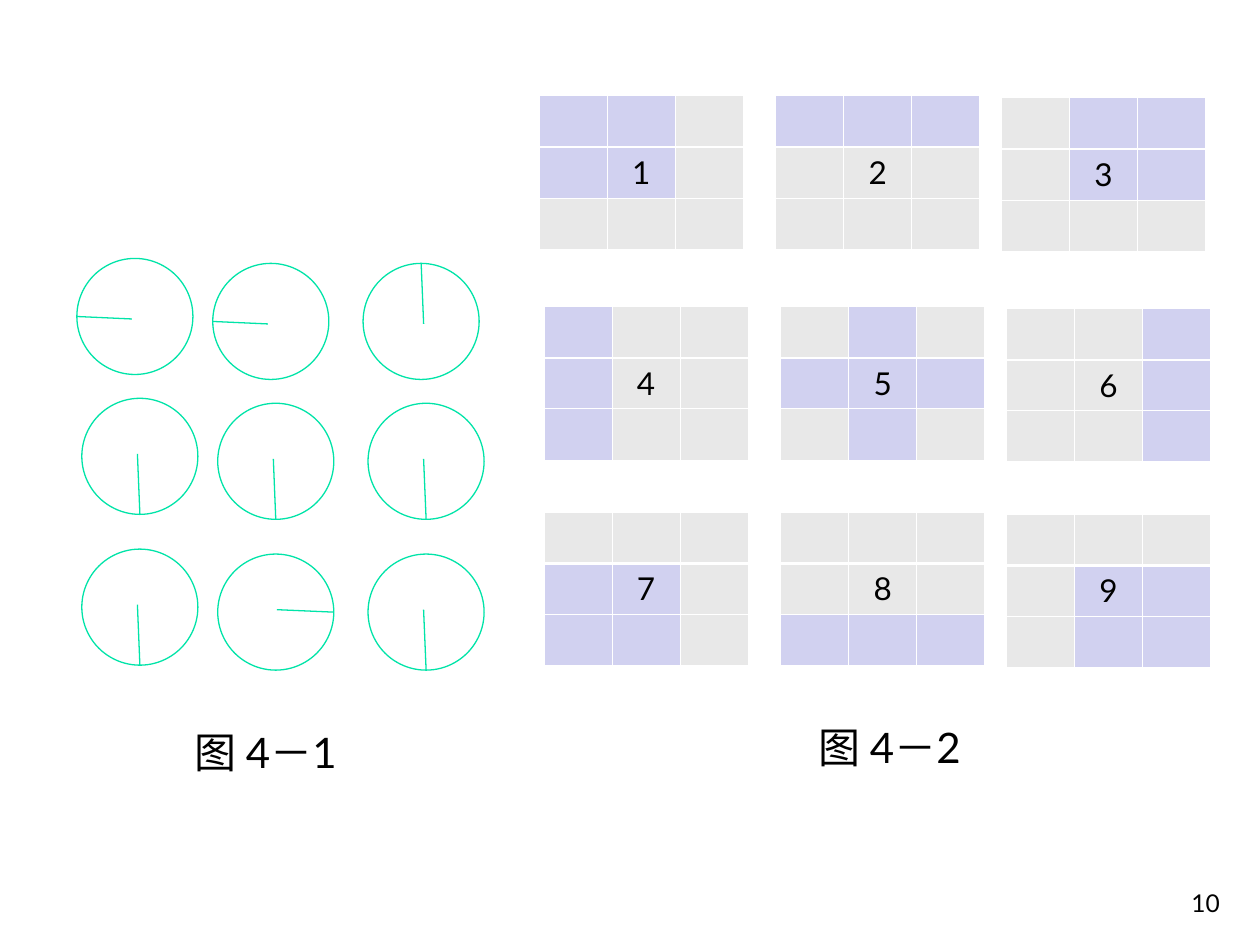
from pptx import Presentation
from pptx.dml.color import RGBColor
from pptx.enum.shapes import MSO_CONNECTOR as Connector, MSO_SHAPE as Shape
from pptx.enum.text import MSO_ANCHOR as Anchor, PP_ALIGN as Align
from pptx.oxml.ns import qn
from pptx.util import Cm, Pt
from lxml.etree import SubElement

FONT = "Lato"
TEAL, LILAC, GREY, WHITE, BLACK = "00E4A8", "D1D1F0", "E8E8E8", "FFFFFF", "000000"

DIAMETER = 2.34
DIAL_LEFTS = (1.55, 4.29, 7.32)
DIAL_TOPS = (5.21, 8.03, 11.07)
HANDS = {
    "left": (0, 1.17, 1.11, 1.22),
    "up": (1.17, 0, 1.22, 1.22),
    "down": (1.12, 1.12, 1.17, DIAMETER),
    "right": (1.19, 1.12, DIAMETER, 1.17),
}
DIAL_DIRECTIONS = (
    ("left", "left", "up"),
    ("down", "down", "down"),
    ("down", "right", "down"),
)

CELL_WIDTH, CELL_HEIGHT = 1.37, 1.03
GRID_LEFTS = (10.87, 15.64, 20.19)
GRID_TOPS = (1.93, 6.18, 10.33)
NEIGHBOURHOODS = (
    ("110 110 000", "111 000 000", "011 011 000"),
    ("100 100 100", "010 111 010", "001 001 001"),
    ("000 110 110", "000 000 111", "000 011 011"),
)
THIN, THICK = 0.45, 1.47
SHIFT = 0.1


def color(value):
    return RGBColor.from_string(value)


def write(frame, text, size, align):
    para = frame.paragraphs[0]
    para.alignment = align
    span = para.add_run()
    span.text = text
    span.font.name = FONT
    span.font.size = Pt(size)
    span.font.color.rgb = color(BLACK)


def add_label(page, text, left, top, width, size, align, anchor=Anchor.TOP):
    box = page.shapes.add_textbox(Cm(left), Cm(top), Cm(width), Cm(1.27))
    box.text_frame.word_wrap = True
    box.text_frame.vertical_anchor = anchor
    write(box.text_frame, text, size, align)


def style_line(line):
    line.color.rgb = color(TEAL)
    line.width = Pt(0.75)


def add_dial(group, left, top, direction):
    circle = group.shapes.add_shape(
        Shape.OVAL, Cm(left), Cm(top), Cm(DIAMETER), Cm(DIAMETER))
    circle.shadow.inherit = False
    circle.fill.background()
    style_line(circle.line)

    x1, y1, x2, y2 = HANDS[direction]
    hand = group.shapes.add_connector(
        Connector.STRAIGHT, Cm(left + x1), Cm(top + y1), Cm(left + x2), Cm(top + y2))
    style_line(hand.line)
    SubElement(hand._element.spPr, qn("a:effectLst"))


def add_dials(page):
    group = page.shapes.add_group_shape()
    for row, directions in enumerate(DIAL_DIRECTIONS):
        for column, direction in enumerate(directions):
            left = DIAL_LEFTS[column] + SHIFT * (row > 0)
            top = DIAL_TOPS[row] + SHIFT * (column > 0)
            add_dial(group, left, top, direction)


def add_borders(cell, row):
    properties = cell._tc.get_or_add_tcPr()
    widths = {
        "a:lnL": THIN,
        "a:lnR": THIN,
        "a:lnT": THICK if row == 1 else THIN,
        "a:lnB": THICK if row == 0 else THIN,
    }
    for tag, width in widths.items():
        border = SubElement(properties, qn(tag), w=str(int(Pt(width))))
        fill = SubElement(border, qn("a:solidFill"))
        SubElement(fill, qn("a:srgbClr"), val=WHITE)


def add_grid(page, number, pattern, left, top):
    frame = page.shapes.add_table(
        3, 3, Cm(left), Cm(top), Cm(3 * CELL_WIDTH), Cm(3 * CELL_HEIGHT))
    table = frame.table
    table.first_row = table.horz_banding = False
    for column in table.columns:
        column.width = Cm(CELL_WIDTH)
    for row, flags in enumerate(pattern.split()):
        table.rows[row].height = Cm(CELL_HEIGHT)
        for column, flag in enumerate(flags):
            cell = table.cell(row, column)
            add_borders(cell, row)
            cell.fill.solid()
            cell.fill.fore_color.rgb = color(LILAC if flag == "1" else GREY)
    write(table.cell(1, 1).text_frame, str(number), 18, Align.CENTER)


def add_grids(page):
    for row, patterns in enumerate(NEIGHBOURHOODS):
        for column, pattern in enumerate(patterns):
            left = GRID_LEFTS[column] + SHIFT * (row > 0)
            top = GRID_TOPS[row] + 0.04 * (column == 2)
            add_grid(page, 3 * row + column + 1, pattern, left, top)


def main():
    deck = Presentation()
    deck.slide_width, deck.slide_height = Cm(25.4), Cm(19.05)
    page = deck.slides.add_slide(deck.slide_layouts[6])
    add_label(page, "10", 19.56, 17.35, 5.28, 14, Align.RIGHT, Anchor.BOTTOM)
    add_dials(page)
    add_grids(page)
    add_label(page, "图 4－1", 1.75, 14.53, 7.21, 24, Align.CENTER)
    add_label(page, "图 4－2", 14.33, 14.43, 7.21, 24, Align.CENTER)
    deck.save("out.pptx")


if __name__ == "__main__":
    main()
